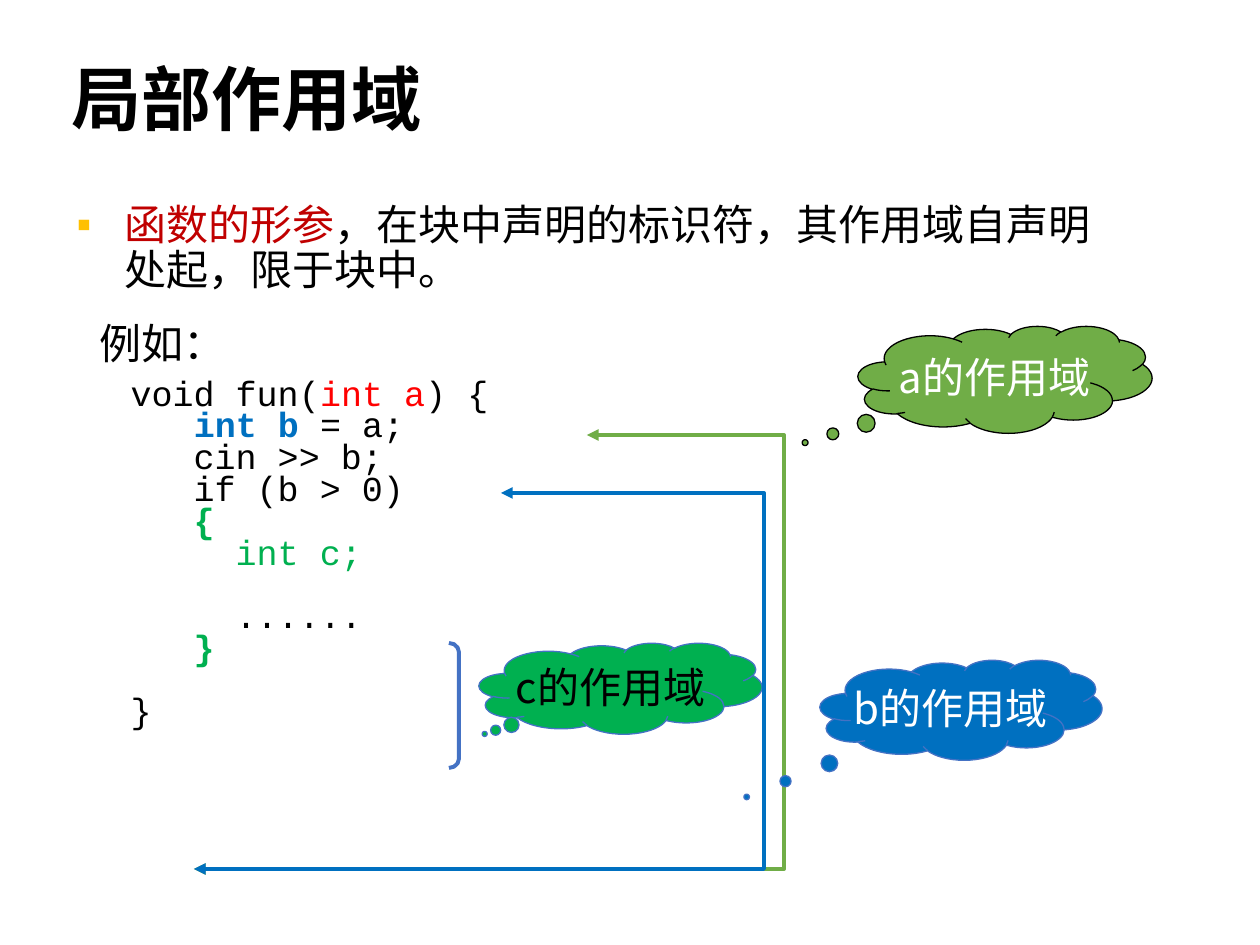
import pptx
import pptx.util
import pptx.dml.color
import pptx.enum.shapes
import pptx.enum.text
import pptx.oxml.ns
from lxml import etree

RGBColor = pptx.dml.color.RGBColor
BLACK = RGBColor(0x00, 0x00, 0x00)
WHITE = RGBColor(0xFF, 0xFF, 0xFF)
DARK_RED = RGBColor(0xC0, 0x00, 0x00)
RED = RGBColor(0xFF, 0x00, 0x00)
BLUE = RGBColor(0x00, 0x70, 0xC0)
OUTLINE_BLUE = RGBColor(0x44, 0x72, 0xC4)
GREEN = RGBColor(0x00, 0xB0, 0x50)
OLIVE = RGBColor(0x70, 0xAD, 0x47)
GOLD = RGBColor(0xFF, 0xC0, 0x00)

EMU_PER_PX = 914400 / 126
SLIDE_SIZE = (1260, 945)
TITLE_BOX = (59, 59, 1142, 122)
BODY_BOX = (64, 198, 1071, 602)
BRACKET_BOX = (449, 643, 10, 125)

TITLE = "局部作用域"
# A run is (text, colour, bold).
RULE = [("函数的形参", DARK_RED, False),
        ("，在块中声明的标识符，其作用域自声明处起，限于块中。", BLACK, False)]
EXAMPLE = [("例如：", BLACK, False)]
# Each code line: (space before in points, runs); 23 leaves one line free.
CODE = [
    (5, [("void fun(", BLACK, False), ("int a", RED, False), (") {", BLACK, False)]),
    (5, [("   ", BLACK, False), ("int b ", BLUE, True), ("= a;", BLACK, False)]),
    (5, [("   cin >> b;", BLACK, False)]),
    (5, [("   if (b > 0)", BLACK, False)]),
    (5, [("   {", GREEN, True)]),
    (5, [("     int c;", GREEN, False)]),
    (23, [("     ......", BLACK, False)]),
    (5, [("   }", GREEN, True)]),
    (23, [("}", BLACK, False)]),
]
# Text, box, tail position, fill, outline, text colour
CLOUD_C = ("c的作用域", (479, 643, 283, 91), (-0.48, 0.5), GREEN, OUTLINE_BLUE, BLACK)
CLOUD_A = ("a的作用域", (858, 326, 294, 107), (-0.68, 0.59), OLIVE, BLACK, WHITE)
CLOUD_B = ("b的作用域", (820, 660, 282, 100), (-0.76, 0.87), BLUE, OUTLINE_BLUE, WHITE)
# Start x, start y, right edge, colour
SCOPE_A = (587, 435, 784, OLIVE)
SCOPE_B = (501, 493, 764, BLUE)
SCOPE_END = (194, 869)


def px(length):
    return pptx.util.Emu(round(length * EMU_PER_PX))


def place(shape, box):
    shape.left, shape.top, shape.width, shape.height = map(px, box)


def add_element(parent, tag, **attributes):
    element = etree.SubElement(parent, pptx.oxml.ns.qn(tag))
    for name, value in attributes.items():
        element.set(name, str(value))
    return element


def format_paragraph(paragraph, runs, size, margin, spacing, before=0, after=0,
                     hanging=0, bullet=None):
    properties = paragraph._p.get_or_add_pPr()
    properties.set("marL", str(px(margin)))
    properties.set("indent", str(px(-hanging)))
    if bullet:
        add_element(add_element(properties, "a:buClr"), "a:srgbClr", val=GOLD)
        add_element(properties, "a:buChar", char=bullet)
    else:
        add_element(properties, "a:buNone")
    paragraph.line_spacing = spacing
    paragraph.space_before = pptx.util.Pt(before)
    paragraph.space_after = pptx.util.Pt(after)
    paragraph.font.name = "Courier New"
    paragraph.font.size = pptx.util.Pt(size)
    for text, colour, bold in runs:
        run = paragraph.add_run()
        run.text = text
        run.font.color.rgb = colour
        run.font.bold = bold


def fill_title(title):
    place(title, TITLE_BOX)
    frame = title.text_frame
    frame.text = TITLE
    frame.vertical_anchor = pptx.enum.text.MSO_ANCHOR.TOP
    frame.auto_size = pptx.enum.text.MSO_AUTO_SIZE.NONE
    paragraph = frame.paragraphs[0]
    paragraph.alignment = pptx.enum.text.PP_ALIGN.LEFT
    paragraph.line_spacing = 0.9
    paragraph.font.name = "Calibri"
    paragraph.font.size = pptx.util.Pt(40)
    paragraph.font.bold = True
    paragraph.font.color.rgb = BLACK


def fill_body(body):
    place(body, BODY_BOX)
    frame = body.text_frame
    frame.auto_size = pptx.enum.text.MSO_AUTO_SIZE.NONE
    format_paragraph(frame.paragraphs[0], RULE, 24, 48, 0.9, after=6,
                     hanging=48, bullet="▪")
    format_paragraph(frame.add_paragraph(), EXAMPLE, 24, 23, 0.9, before=10, after=6)
    for before, runs in CODE:
        paragraph = frame.add_paragraph()
        paragraph.level = 1
        format_paragraph(paragraph, runs, 20, 54, 0.55, before=before)


def set_outline(shape, colour, width):
    shape.shadow.inherit = False
    shape.line.color.rgb = colour
    shape.line.width = pptx.util.Pt(width)


def add_cloud(slide, text, box, tail, fill, outline, text_colour):
    cloud = slide.shapes.add_shape(
        pptx.enum.shapes.MSO_SHAPE.CLOUD_CALLOUT, *map(px, box))
    cloud.adjustments[0], cloud.adjustments[1] = tail
    cloud.fill.solid()
    cloud.fill.fore_color.rgb = fill
    set_outline(cloud, outline, 0.75)
    frame = cloud.text_frame
    frame.text = text
    frame.word_wrap = False
    frame.vertical_anchor = pptx.enum.text.MSO_ANCHOR.MIDDLE
    paragraph = frame.paragraphs[0]
    paragraph.alignment = pptx.enum.text.PP_ALIGN.CENTER
    paragraph.font.name = "Noto Sans CJK SC"
    paragraph.font.size = pptx.util.Pt(24)
    paragraph.font.color.rgb = text_colour


def add_bracket(slide):
    bracket = slide.shapes.add_shape(
        pptx.enum.shapes.MSO_SHAPE.RIGHT_BRACKET, *map(px, BRACKET_BOX))
    bracket.adjustments[0] = 0.92
    bracket.fill.background()
    set_outline(bracket, OUTLINE_BLUE, 2.25)


def add_scope_line(slide, start_x, start_y, right, colour):
    """Draw the open path from a declaration to the end of its scope."""
    end_x, end_y = SCOPE_END
    builder = slide.shapes.build_freeform(start_x, start_y, scale=EMU_PER_PX)
    builder.add_line_segments(
        [(right, start_y), (right, end_y), (end_x, end_y)], close=False)
    path = builder.convert_to_shape()
    path.fill.background()
    set_outline(path, colour, 2.25)
    line = path.line._get_or_add_ln()
    for end in ("a:headEnd", "a:tailEnd"):
        add_element(line, end, type="triangle")


def main():
    presentation = pptx.Presentation()
    presentation.slide_width, presentation.slide_height = map(px, SLIDE_SIZE)
    slide = presentation.slides.add_slide(presentation.slide_layouts[1])
    fill_title(slide.shapes.title)
    fill_body(slide.placeholders[1])
    add_cloud(slide, *CLOUD_C)
    add_bracket(slide)
    add_scope_line(slide, *SCOPE_A)
    add_cloud(slide, *CLOUD_A)
    add_scope_line(slide, *SCOPE_B)
    add_cloud(slide, *CLOUD_B)
    presentation.save("out.pptx")


if __name__ == "__main__":
    main()
